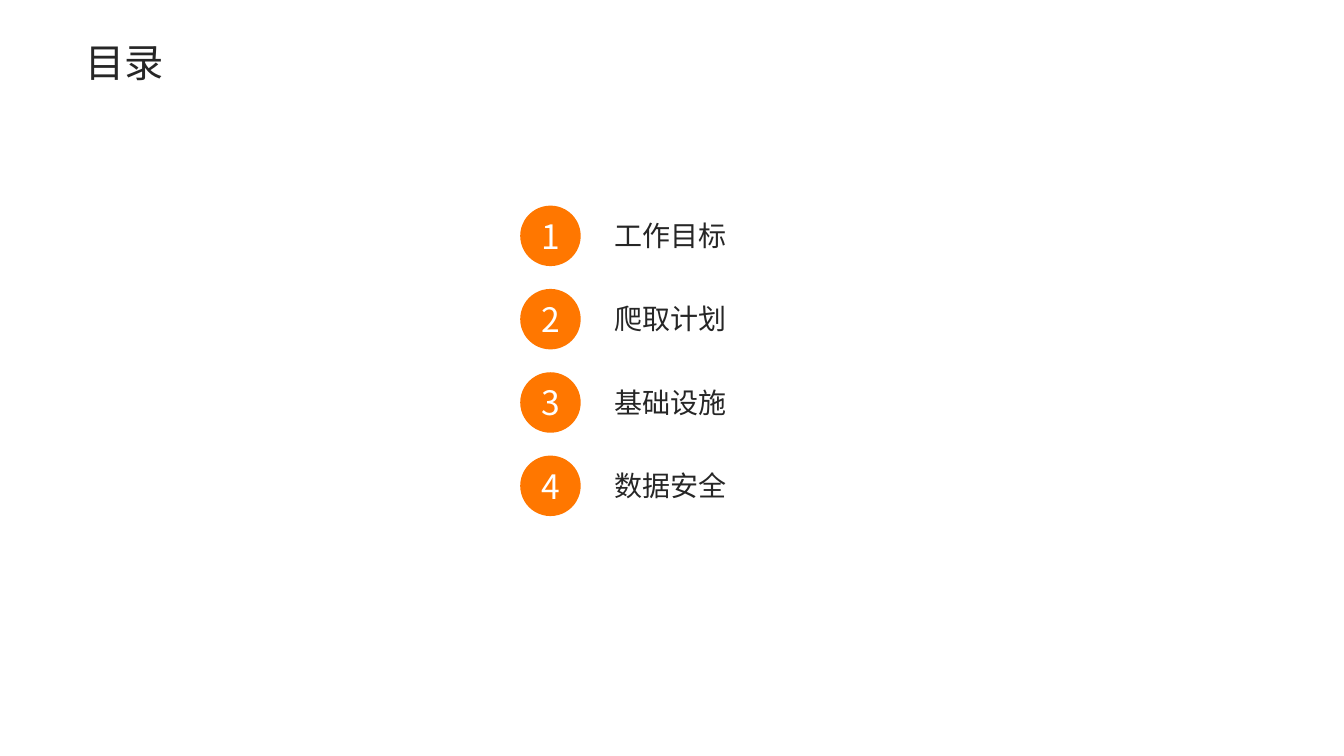
from lxml import etree
from pptx import Presentation
from pptx.dml.color import RGBColor
from pptx.enum import shapes, text
from pptx.oxml import ns
from pptx.util import Inches, Pt

COLOURS = {"ink": "262626", "badge": "FF7700", "paper": "FFFFFF"}
HAN_FONT = "Noto Sans CJK SC"
DIGIT_FONT = "Noto Sans CJK JP"
TOPICS = ["工作目标", "爬取计划", "基础设施", "数据安全"]


def colour(name):
    """Return the named colour."""
    return RGBColor.from_string(COLOURS[name])


def write(box, words, size, font, ink, align=text.PP_ALIGN.LEFT):
    """Add one formatted run to the first paragraph and return the paragraph."""
    para = box.text_frame.paragraphs[0]
    para.alignment = align
    span = para.add_run()
    span.text = words
    span.font.size = Pt(size)
    span.font.color.rgb = colour(ink)
    span.font.name = font
    east_asian = etree.SubElement(span.font._element, ns.qn("a:ea"))
    east_asian.set("typeface", font)
    return para


def add_title(page, left, top, width, height):
    """Place and format the title placeholder."""
    title = page.shapes.title
    title.left, title.top = Inches(left), Inches(top)
    title.width, title.height = Inches(width), Inches(height)
    frame = title.text_frame
    frame.word_wrap = True
    frame.auto_size = text.MSO_AUTO_SIZE.SHAPE_TO_FIT_TEXT
    frame.vertical_anchor = text.MSO_ANCHOR.TOP
    write(title, "目录", 28, HAN_FONT, "ink")


def add_topic(page, number, topic, left, top, width, size):
    """Group a numbered badge with its topic label."""
    group = page.shapes.add_group_shape()
    label_left, label_height = left + 0.88, 0.44
    label = group.shapes.add_textbox(
        Inches(label_left), Inches(top + (size - label_height) / 2),
        Inches(left + width - label_left), Inches(label_height))
    frame = label.text_frame
    frame.word_wrap = True
    frame.auto_size = text.MSO_AUTO_SIZE.SHAPE_TO_FIT_TEXT
    frame.margin_left = frame.margin_right = Inches(0.05)
    frame.margin_top = frame.margin_bottom = Inches(0.05)
    write(label, topic, 20, HAN_FONT, "ink").space_before = Pt(2)

    badge = group.shapes.add_shape(
        shapes.MSO_SHAPE.OVAL, Inches(left), Inches(top), Inches(size), Inches(size))
    badge.shadow.inherit = False
    badge.fill.solid()
    badge.fill.fore_color.rgb = colour("badge")
    badge.line.fill.background()
    badge.text_frame.vertical_anchor = text.MSO_ANCHOR.MIDDLE
    write(badge, str(number), 24, DIGIT_FONT, "paper", text.PP_ALIGN.CENTER)


def add_agenda(page, left, top, width, height):
    """Spread the topics evenly down the box."""
    size = 0.6
    step = (height - size) / (len(TOPICS) - 1)
    for index, topic in enumerate(TOPICS):
        add_topic(page, index + 1, topic, left, top + index * step, width, size)


def main():
    """Build and save the deck."""
    deck = Presentation()
    deck.slide_width, deck.slide_height = Inches(13.33), Inches(7.5)
    page = deck.slides.add_slide(deck.slide_layouts.get_by_name("Title Only"))
    page.background.fill.solid()
    page.background.fill.fore_color.rgb = colour("paper")
    add_title(page, 0.75, 0.33, 3.49, 0.57)
    add_agenda(page, 5.16, 2.04, 4.01, 3.08)
    deck.save("out.pptx")


main()
